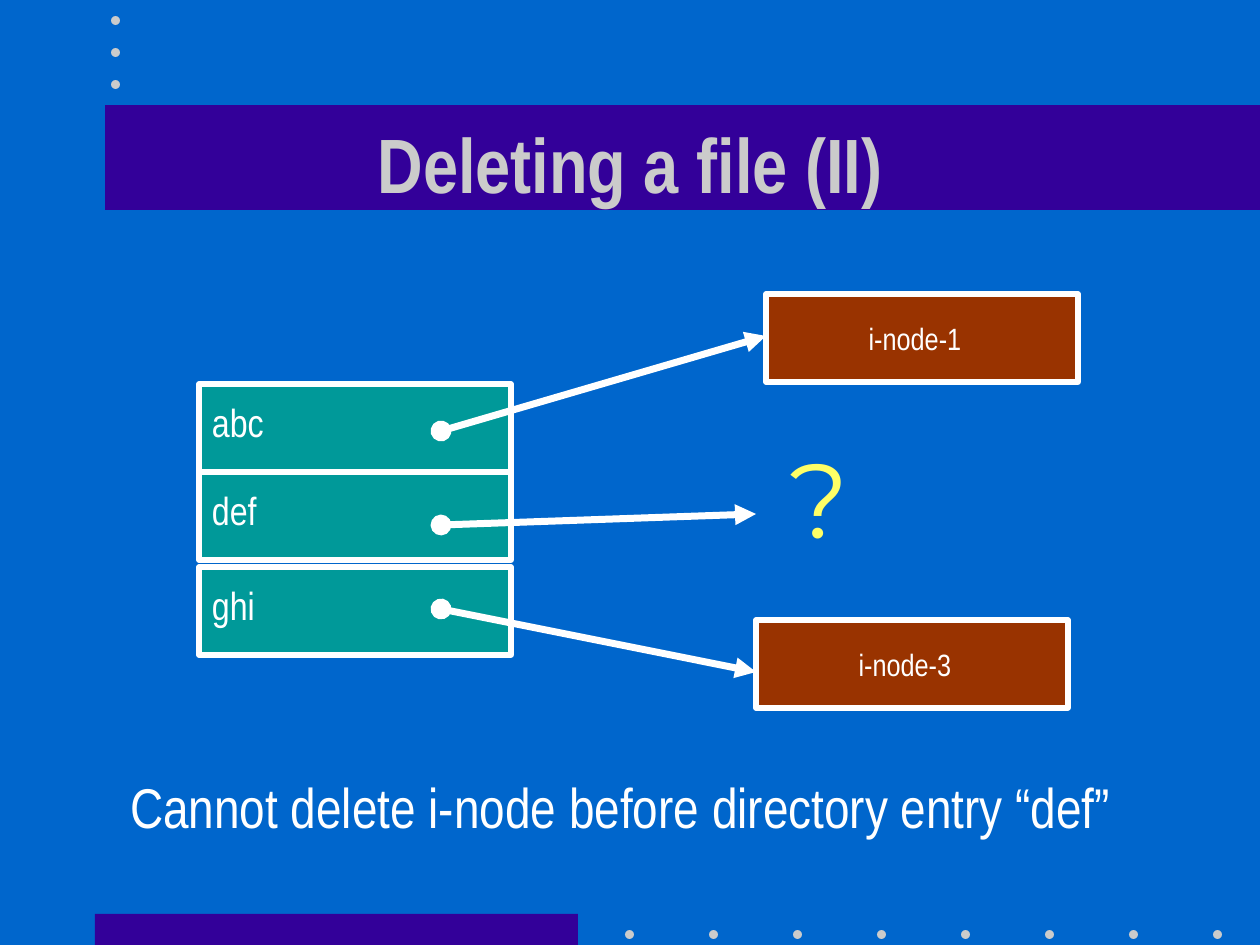
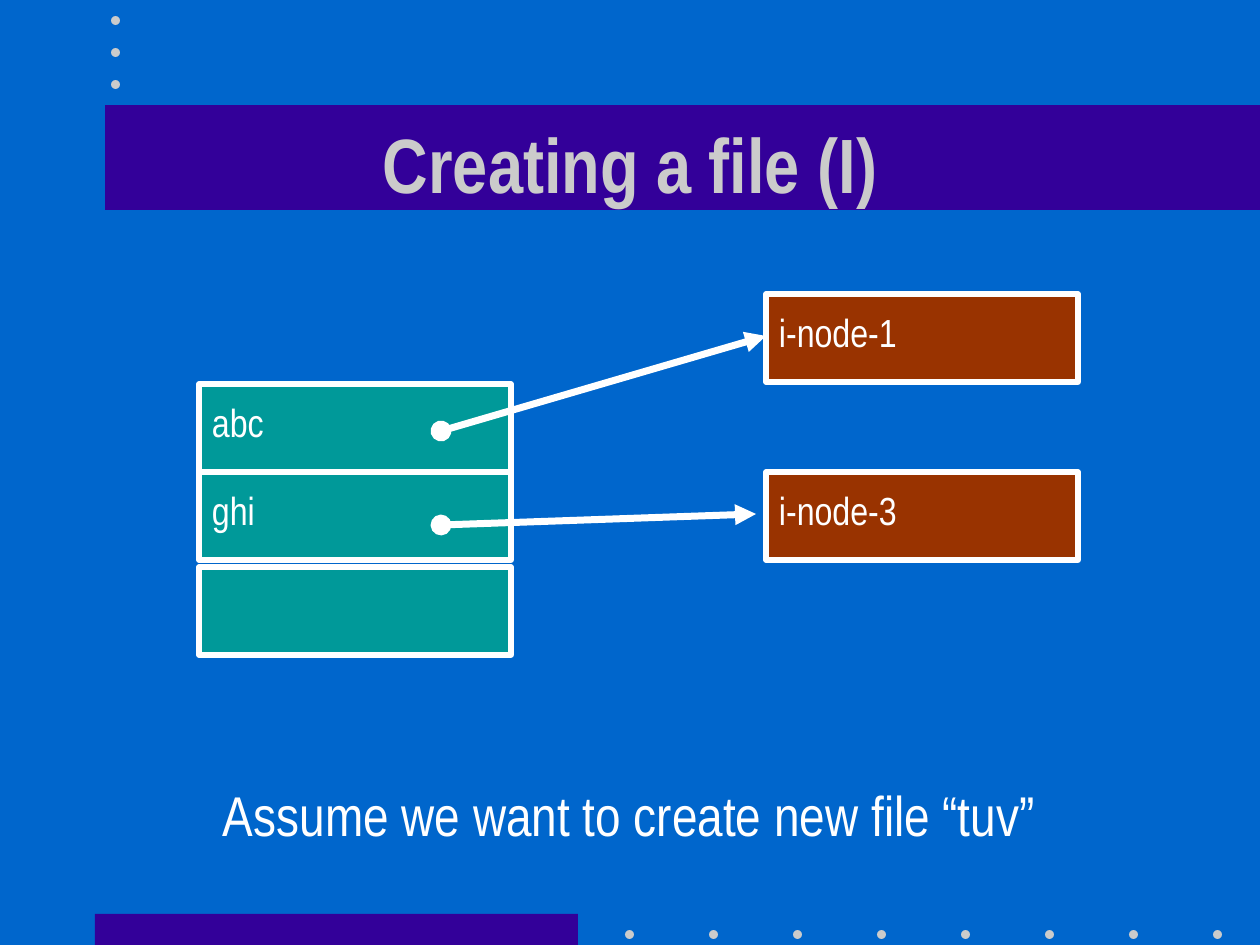
from lxml.etree import SubElement
from pptx import Presentation
from pptx.dml.color import RGBColor
from pptx.enum.shapes import MSO_CONNECTOR, MSO_SHAPE
from pptx.enum.text import MSO_ANCHOR, PP_ALIGN
from pptx.oxml.ns import qn
from pptx.util import Emu, Pt

PX_PER_INCH = 126
BLUE = RGBColor(0x00, 0x66, 0xCC)
PURPLE = RGBColor(0x33, 0x00, 0x99)
GREY = RGBColor(0xCB, 0xCB, 0xCB)
TEAL = RGBColor(0x00, 0x99, 0x99)
BROWN = RGBColor(0x99, 0x33, 0x00)
WHITE = RGBColor(0xFF, 0xFF, 0xFF)
YELLOW = RGBColor(0xFF, 0xFF, 0x66)
FONT = "Arial Narrow"
QUESTION_FONT = "Montserrat"

BOX_WIDTH, BOX_HEIGHT = 312, 88
DIRECTORY_LEFT = 199
ENTRY_TOPS = (384, 472, 567)
POINTER_LEFT = 441
TEXT_INSETS = (13, 6, 13, 6)
BOX_INSETS = (13, 13, 13, 25)
CENTERED_INSETS = (13, 25, 27, 25)


def px(*lengths):
    return [Emu(round(length * 914400 / PX_PER_INCH)) for length in lengths]


class Deck:
    def __init__(self):
        self.presentation = Presentation()
        self.presentation.slide_width, self.presentation.slide_height = px(1260, 945)
        fill = self.presentation.slide_master.background.fill
        fill.solid()
        fill.fore_color.rgb = BLUE
        self.slide = None

    def add_slide(self, title):
        layout = self.presentation.slide_layouts.get_by_name("Title Only")
        self.slide = self.presentation.slides.add_slide(layout)
        self.shape(95, 914, 483, 31, PURPLE)
        for column in range(8):
            self.dot(625 + 84 * column, 930)
        self.shape(105, 105, 1155, 105, PURPLE)
        for row in range(3):
            self.dot(111, 16 + 32 * row)
        self.title(title)

    def title(self, text):
        shape = self.slide.shapes.title
        shape.left, shape.top, shape.width, shape.height = px(95, 84, 1071, 158)
        # The title stands in front of its band
        shape.element.getparent().append(shape.element)
        self.fill_text(shape, text, 44, GREY, TEXT_INSETS, PP_ALIGN.CENTER, bold=True)

    def shape(self, left, top, width, height, color, kind=MSO_SHAPE.RECTANGLE):
        shape = self.slide.shapes.add_shape(kind, *px(left, top, width, height))
        shape.shadow.inherit = False
        shape.fill.solid()
        shape.fill.fore_color.rgb = color
        shape.line.fill.background()
        return shape

    def dot(self, left, top):
        self.shape(left, top, 9, 9, GREY, MSO_SHAPE.OVAL)

    def box(self, left, top, color, text, centered=False):
        shape = self.shape(left, top, BOX_WIDTH, BOX_HEIGHT, color)
        shape.line.color.rgb = WHITE
        shape.line.width = Pt(3)
        if centered:
            self.fill_text(shape, text, 17.6, WHITE, CENTERED_INSETS, PP_ALIGN.CENTER)
        elif text:
            self.fill_text(shape, text, 22.4, WHITE, BOX_INSETS)

    def directory(self, *names):
        for top, name in zip(ENTRY_TOPS, names):
            self.box(DIRECTORY_LEFT, top, TEAL, name)

    def pointer(self, start_y, end_x, end_y):
        """Draw an arrow from a directory entry towards an i-node."""
        connector = self.slide.shapes.add_connector(
            MSO_CONNECTOR.STRAIGHT, *px(POINTER_LEFT, start_y, end_x, end_y))
        connector.line.color.rgb = WHITE
        connector.line.width = Pt(4)
        properties = connector.element.spPr
        line = properties.find(qn("a:ln"))
        SubElement(line, qn("a:headEnd"), type="oval")
        SubElement(line, qn("a:tailEnd"), type="triangle")
        SubElement(properties, qn("a:effectLst"))

    def text(self, left, top, width, height, text, size=32, color=WHITE, font=FONT):
        shape = self.slide.shapes.add_textbox(*px(left, top, width, height))
        self.fill_text(shape, text, size, color, TEXT_INSETS, anchor=MSO_ANCHOR.TOP, font=font)

    def fill_text(self, shape, text, size, color, insets, align=PP_ALIGN.LEFT,
                  anchor=MSO_ANCHOR.MIDDLE, font=FONT, bold=False):
        frame = shape.text_frame
        frame.word_wrap = True
        frame.vertical_anchor = anchor
        (frame.margin_left, frame.margin_top,
         frame.margin_right, frame.margin_bottom) = px(*insets)
        paragraph = frame.paragraphs[0]
        paragraph.alignment = align
        run = paragraph.add_run()
        run.text = text
        run.font.name = font
        run.font.size = Pt(size)
        run.font.bold = bold
        run.font.color.rgb = color


def add_deleting_slide(deck):
    deck.add_slide("Deleting a file (II)")
    deck.directory("abc", "def", "ghi")
    deck.pointer(431, 766, 336)
    deck.box(766, 294, BROWN, "i-node-1", centered=True)
    deck.box(756, 620, BROWN, "i-node-3", centered=True)
    deck.pointer(525, 756, 514)
    deck.pointer(609, 756, 672)
    deck.text(117, 766, 1026, 81, "Cannot delete i-node before directory entry “def”")
    deck.text(777, 428, 79, 139, "?", 60, YELLOW, QUESTION_FONT)


def add_creating_slide(deck):
    deck.add_slide("Creating a file (I)")
    deck.directory("abc", "ghi", "")
    deck.pointer(431, 766, 336)
    deck.box(766, 294, BROWN, "i-node-1")
    deck.box(766, 472, BROWN, "i-node-3")
    deck.pointer(525, 756, 514)
    deck.text(210, 774, 840, 81, "Assume we want to create new file “tuv”")


def main():
    deck = Deck()
    add_deleting_slide(deck)
    add_creating_slide(deck)
    deck.presentation.save("out.pptx")


if __name__ == "__main__":
    main()
